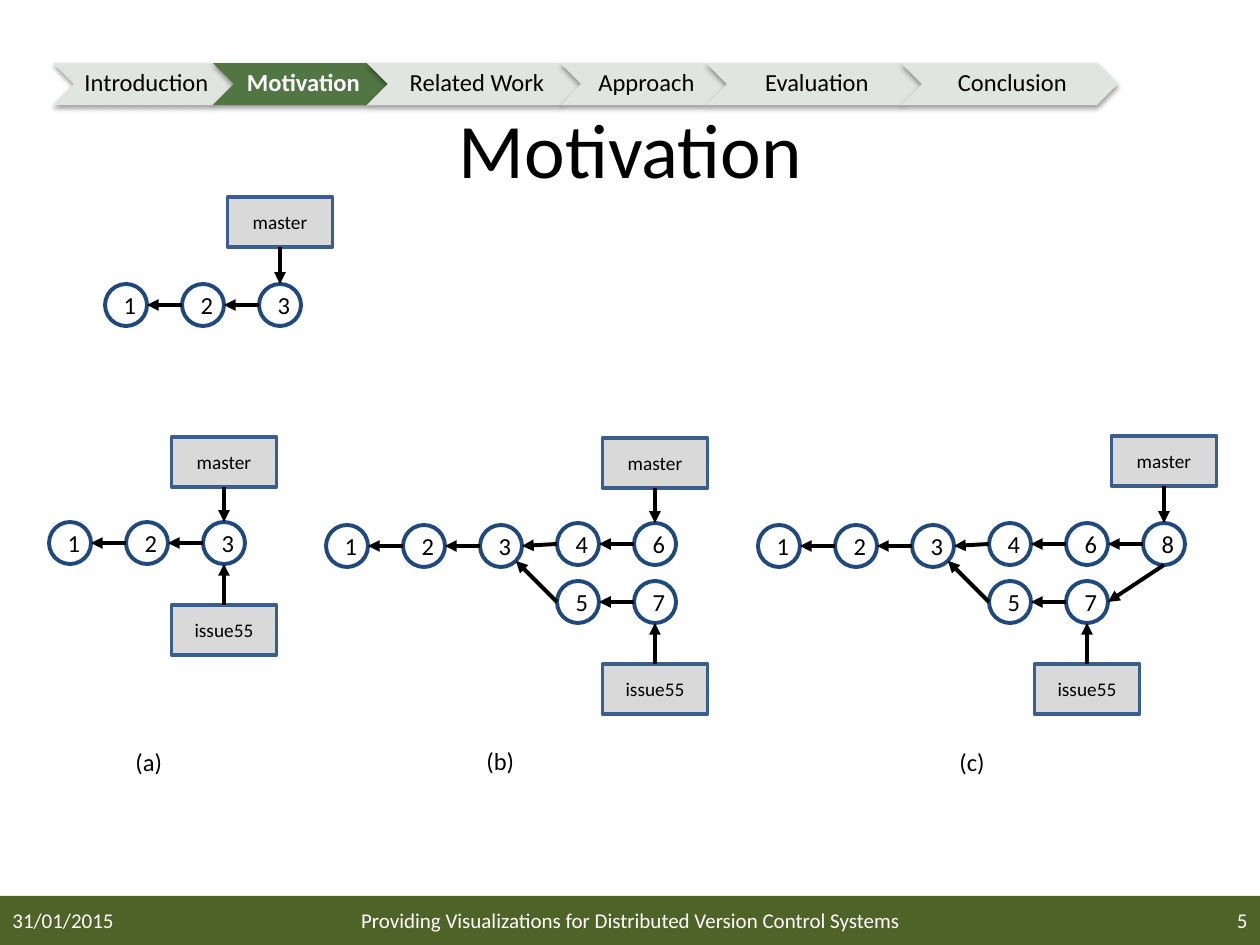
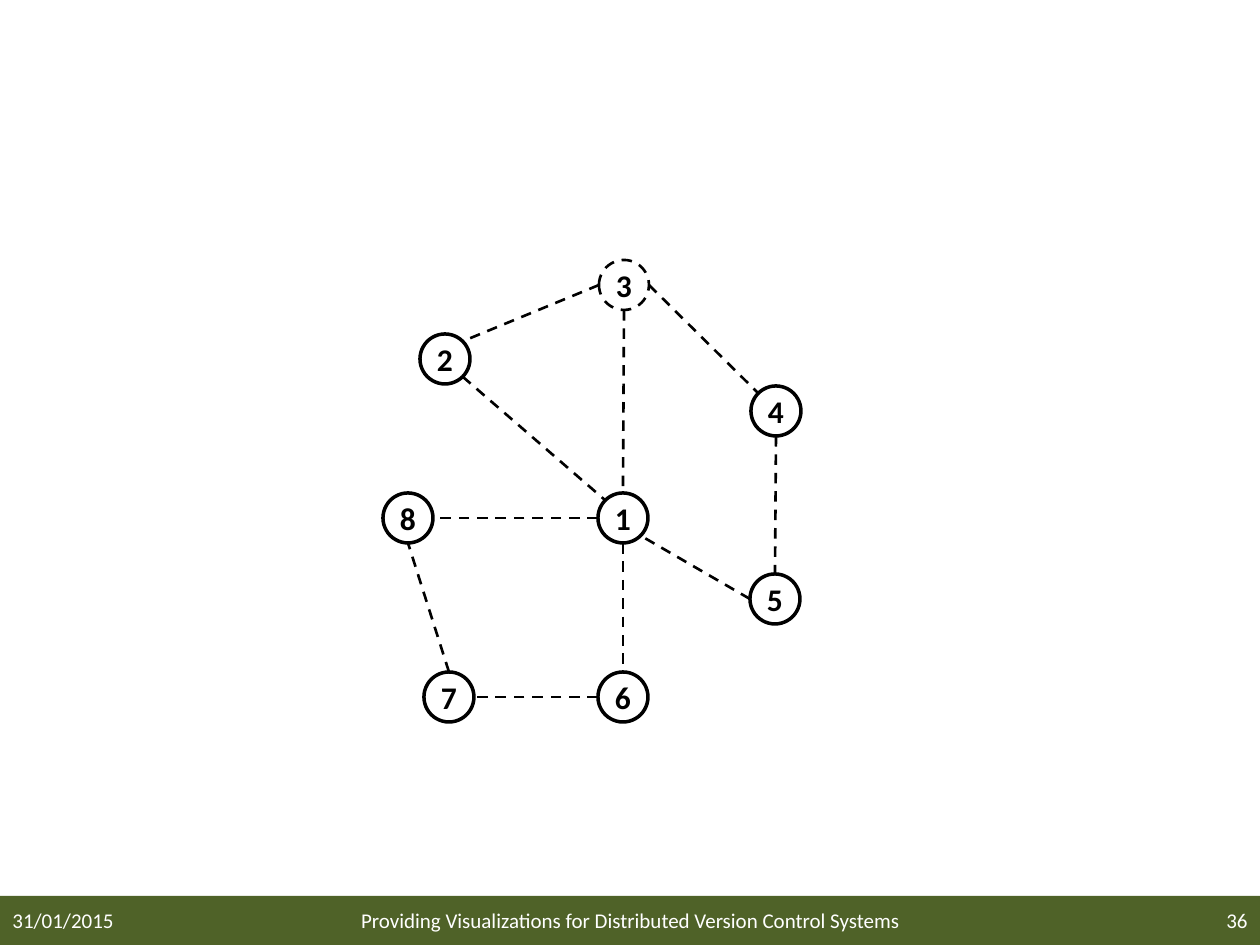
"""Two slides on version histories: commit graphs and a ring of linked nodes."""
from dataclasses import dataclass
from typing import Any

from lxml import etree
from pptx import Presentation
from pptx import util as u
from pptx.dml.color import RGBColor
from pptx.enum import dml, shapes, text
from pptx.oxml.ns import qn

SCALE = 914400 / 126  # EMU in one px
WIDTH, HEIGHT = 1260, 945
TITLE_ONLY, BLANK = 5, 6
TOP, LEFT, BOTTOM, RIGHT = range(4)


@dataclass(frozen=True)
class Theme:
    font: str = "Calibri"
    ink: str = "000000"
    light: str = "FFFFFF"
    band: str = "4F6228"
    step: str = "E1E5E1"
    step_active: str = "517543"
    commit_line: str = "1F497D"
    branch_fill: str = "D9D9D9"
    branch_line: str = "3A5F8C"
    title_size: int = 44
    node_size: int = 18
    body_size: int = 14
    footer_size: int = 12
    branch_size: int = 11


THEME = Theme()


@dataclass(frozen=True)
class Circle:
    """A numbered circle, placed by its centre."""
    name: str
    x: int
    y: int
    dashed: bool = False


@dataclass(frozen=True)
class Link:
    """A line between compass points of two circles."""
    start: str
    start_side: str
    end: str
    end_side: str


@dataclass(frozen=True)
class Branch:
    name: str
    top: int
    commit: str


@dataclass(frozen=True)
class History:
    commits: tuple[Circle, ...]
    links: tuple[Link, ...]
    branches: tuple[Branch, ...]


@dataclass(frozen=True)
class Step:
    name: str
    width: int


@dataclass(frozen=True)
class TextBox:
    words: str
    x: int
    y: int
    w: int
    h: int
    align: Any = text.PP_ALIGN.LEFT


# Shared drawing helpers
def px(length: float) -> u.Emu:
    return u.Emu(round(length * SCALE))


def rgb(value: str) -> RGBColor:
    return RGBColor.from_string(value)


def apply(target: Any, values: dict[str, Any]) -> None:
    for name, value in values.items():
        setattr(target, name, value)


def write(shape: Any, words: str, size: int, color: str = THEME.ink, bold: bool = False,
          align: Any = text.PP_ALIGN.CENTER, **frame: Any) -> Any:
    apply(shape.text_frame, {"vertical_anchor": text.MSO_ANCHOR.MIDDLE, **frame})
    para = shape.text_frame.paragraphs[0]
    para.alignment = align
    span = para.add_run()
    span.text = words
    apply(span.font, {"name": THEME.font, "size": u.Pt(size), "bold": bold})
    span.font.color.rgb = rgb(color)
    return para


def stroke(line: Any, color: str, width: float, dashed: bool = False) -> None:
    line.color.rgb = rgb(color)
    line.width = u.Pt(width)
    if dashed:
        line.dash_style = dml.MSO_LINE.DASH


def add_shape(holder: Any, kind: Any, x: float, y: float, w: int, h: int,
              fill: str | None = None) -> Any:
    shape = holder.shapes.add_shape(kind, px(x), px(y), px(w), px(h))
    shape.shadow.inherit = False
    if fill:
        shape.fill.solid()
        shape.fill.fore_color.rgb = rgb(fill)
    else:
        shape.fill.background()
    shape.line.fill.background()
    return shape


def add_text(page: Any, item: TextBox, size: int, color: str = THEME.ink, **frame: Any) -> None:
    box = page.shapes.add_textbox(px(item.x), px(item.y), px(item.w), px(item.h))
    write(box, item.words, size, color, align=item.align, **{"word_wrap": True, **frame})


def add_line(page: Any, start: tuple[float, float], end: tuple[float, float],
             width: float, dashed: bool = False, arrow: bool = False) -> Any:
    line = page.shapes.add_connector(shapes.MSO_CONNECTOR.STRAIGHT,
                                     *map(px, (*start, *end)))
    stroke(line.line, THEME.ink, width, dashed)
    if arrow:
        etree.SubElement(line.line._get_or_add_ln(), qn("a:tailEnd"), type="triangle")
    etree.SubElement(line._element.spPr, qn("a:effectLst"))
    return line


def rim(circle: Circle, size: int, side: str) -> tuple[float, float]:
    """The point of a circle at a compass side such as "n" or "se"."""
    reach = size / 2 * (0.5 ** 0.5 if len(side) == 2 else 1)
    return (circle.x + reach * (("e" in side) - ("w" in side)),
            circle.y + reach * (("s" in side) - ("n" in side)))


def add_circle(page: Any, circle: Circle, size: int) -> Any:
    return add_shape(page, shapes.MSO_SHAPE.OVAL, circle.x - size / 2,
                     circle.y - size / 2, size, size)


def add_links(page: Any, circles: dict[str, Circle], links: tuple[Link, ...],
              size: int, width: float, **style: bool) -> None:
    for link in links:
        add_line(page, rim(circles[link.start], size, link.start_side),
                 rim(circles[link.end], size, link.end_side), width, **style)


def add_footer(page: Any, number: str) -> None:
    add_shape(page, shapes.MSO_SHAPE.RECTANGLE, 0, 896, WIDTH, 49, THEME.band)
    for item in (
        TextBox("31/01/2015", 0, 895, 294, 50),
        TextBox("Providing Visualizations for Distributed Version Control Systems",
                305, 895, 651, 50, text.PP_ALIGN.CENTER),
        TextBox(number, 966, 895, 294, 50, text.PP_ALIGN.RIGHT),
    ):
        add_text(page, item, THEME.footer_size, THEME.light)


# Progress chevrons
STEPS = (Step("Introduction", 181), Step("Motivation", 175), Step("Related Work", 214),
         Step("Approach", 167), Step("Evaluation", 216), Step("Conclusion", 217))
STEP_OVERLAP = 21


def add_step_shadow(shape: Any) -> None:
    effects = shape._element.spPr.find(qn("a:effectLst"))
    shadow = etree.SubElement(effects, qn("a:outerShdw"), blurRad=str(u.Pt(3.1)),
                              dist=str(u.Pt(1.6)), dir="5400000", rotWithShape="0")
    color = etree.SubElement(shadow, qn("a:srgbClr"), val=THEME.ink)
    etree.SubElement(color, qn("a:alpha"), val="38000")


def add_steps(page: Any, active: str) -> None:
    group = page.shapes.add_group_shape()
    x = 53
    for step in STEPS:
        on = step.name == active
        shape = add_shape(group, shapes.MSO_SHAPE.CHEVRON, x, 63, step.width, 42,
                          THEME.step_active if on else THEME.step)
        add_step_shadow(shape)
        para = write(shape, step.name, THEME.body_size, THEME.light if on else THEME.ink, on,
                     margin_left=px(8), margin_right=px(2),
                     margin_top=px(2), margin_bottom=px(2))
        para.line_spacing = 0.9
        x += step.width - STEP_OVERLAP


# Commit histories
COMMIT, COMMIT_GAP = 42, 77
BRANCH_W, BRANCH_H = 105, 50


def row(names: str, x: int, y: int) -> tuple[Circle, ...]:
    return tuple(Circle(name, x + i * COMMIT_GAP, y) for i, name in enumerate(names))


def parents(*pairs: str) -> tuple[Link, ...]:
    """Links from child to parent, each pair written as two digits."""
    return tuple(Link(child, "w", parent, "e") for child, parent in pairs)


def fork(x: int, upper: str) -> tuple[Circle, ...]:
    branch_x = x + 3 * COMMIT_GAP
    return row("123", x, 546) + row(upper, branch_x, 544) + row("57", branch_x, 602)


CHAIN = parents("21", "32")
FORK = CHAIN + parents("43", "64", "75") + (Link("5", "w", "3", "se"),)
HISTORIES = (
    History(row("123", 126, 305), CHAIN, (Branch("master", 197, "3"),)),
    History(row("123", 70, 543), CHAIN,
            (Branch("master", 437, "3"), Branch("issue55", 605, "3"))),
    History(fork(347, "46"), FORK,
            (Branch("master", 438, "6"), Branch("issue55", 664, "7"))),
    History(fork(779, "468"), FORK + parents("86") + (Link("8", "s", "7", "e"),),
            (Branch("master", 436, "8"), Branch("issue55", 664, "7"))),
)
CAPTIONS = (TextBox("(a)", 123, 741, 53, 43), TextBox("(b)", 474, 740, 53, 43),
            TextBox("(c)", 947, 741, 53, 43))


def add_branch(page: Any, branch: Branch, commit: Circle) -> None:
    box = add_shape(page, shapes.MSO_SHAPE.RECTANGLE, commit.x - BRANCH_W / 2, branch.top,
                    BRANCH_W, BRANCH_H, THEME.branch_fill)
    stroke(box.line, THEME.branch_line, 2)
    write(box, branch.name, THEME.branch_size)
    above = branch.top < commit.y
    start = (commit.x, branch.top + (BRANCH_H if above else 0))
    arrow = add_line(page, start, rim(commit, COMMIT, "n" if above else "s"), 2.25, arrow=True)
    arrow.begin_connect(box, BOTTOM if above else TOP)


def add_history(page: Any, history: History) -> None:
    commits = {commit.name: commit for commit in history.commits}
    for commit in history.commits:
        shape = add_circle(page, commit, COMMIT)
        stroke(shape.line, THEME.commit_line, 2.25)
        write(shape, commit.name, THEME.body_size)
    add_links(page, commits, history.links, COMMIT, 2.25, arrow=True)
    for branch in history.branches:
        add_branch(page, branch, commits[branch.commit])


def build_motivation(deck: Any) -> None:
    page = deck.slides.add_slide(deck.slide_layouts[TITLE_ONLY])
    title = page.shapes.title
    apply(title, {"left": px(20), "top": px(69), "width": px(1221), "height": px(158)})
    write(title, "Motivation", THEME.title_size)
    add_footer(page, "5")
    add_steps(page, "Motivation")
    for history in HISTORIES:
        add_history(page, history)
    for caption in CAPTIONS:
        add_text(page, caption, THEME.body_size, word_wrap=False,
                 auto_size=text.MSO_AUTO_SIZE.SHAPE_TO_FIT_TEXT,
                 vertical_anchor=text.MSO_ANCHOR.TOP)


# Ring of nodes
NODE = 50
NODES = (Circle("1", 623, 518), Circle("8", 408, 518), Circle("2", 445, 359),
         Circle("3", 624, 285, dashed=True), Circle("4", 776, 411),
         Circle("6", 623, 697), Circle("7", 449, 697), Circle("5", 775, 599))
NODE_LINKS = (Link("3", "s", "1", "n"), Link("3", "w", "2", "ne"), Link("1", "w", "8", "e"),
              Link("1", "s", "6", "n"), Link("6", "w", "7", "e"), Link("2", "se", "1", "nw"),
              Link("3", "e", "4", "nw"), Link("4", "s", "5", "n"), Link("5", "w", "1", "se"),
              Link("7", "n", "8", "s"))


def build_ring(deck: Any) -> None:
    page = deck.slides.add_slide(deck.slide_layouts[BLANK])
    add_footer(page, "36")
    inset = {f"margin_{side}": px(5) for side in ("left", "top", "right", "bottom")}
    for node in NODES:
        shape = add_circle(page, node, NODE)
        stroke(shape.line, THEME.ink, 1.5 if node.dashed else 2, node.dashed)
        write(shape, node.name, THEME.node_size, bold=True, **inset)
    add_links(page, {node.name: node for node in NODES}, NODE_LINKS, NODE, 1.5, dashed=True)


def main() -> None:
    deck = Presentation()
    apply(deck, {"slide_width": px(WIDTH), "slide_height": px(HEIGHT)})
    build_motivation(deck)
    build_ring(deck)
    deck.save("out.pptx")


if __name__ == "__main__":
    main()
